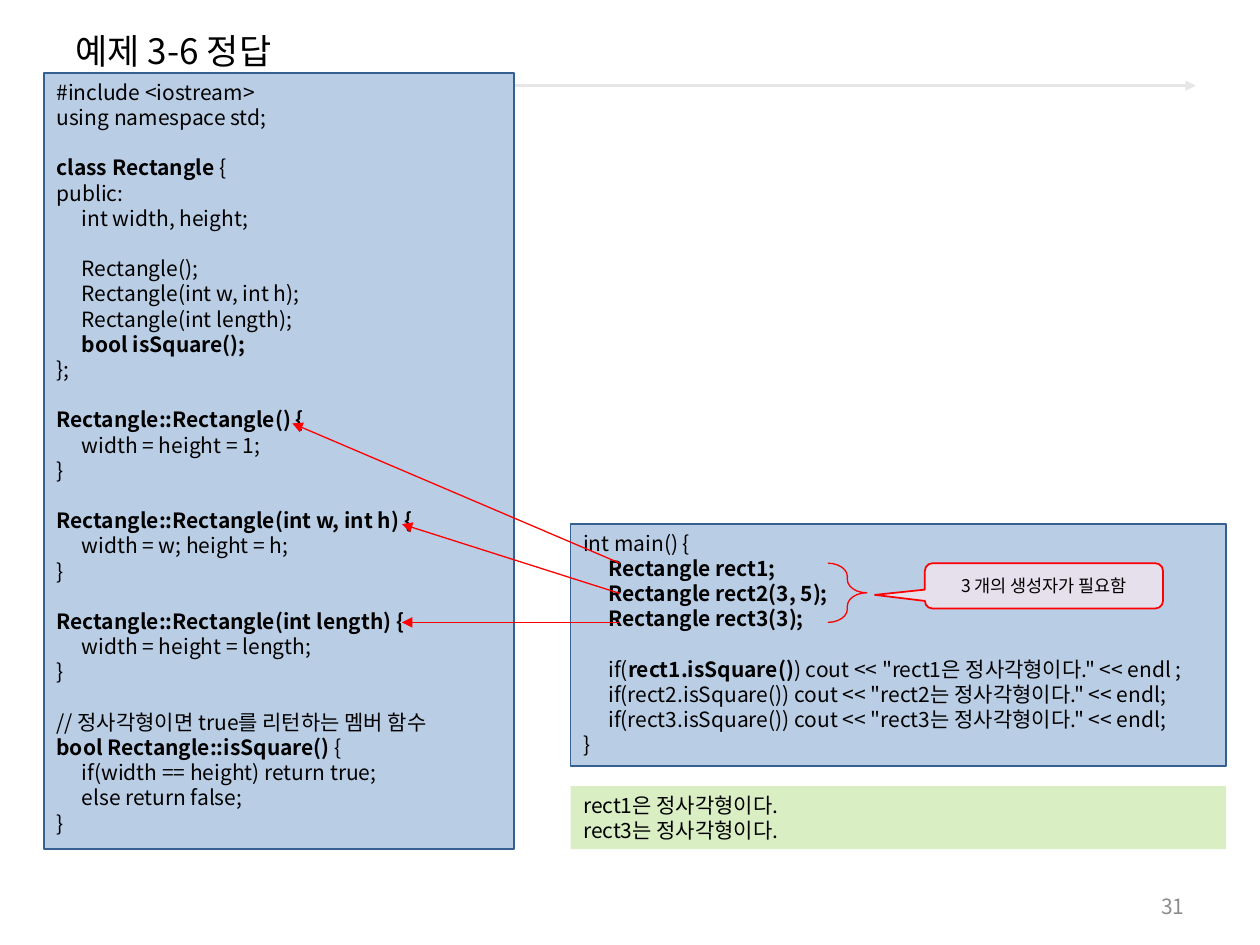
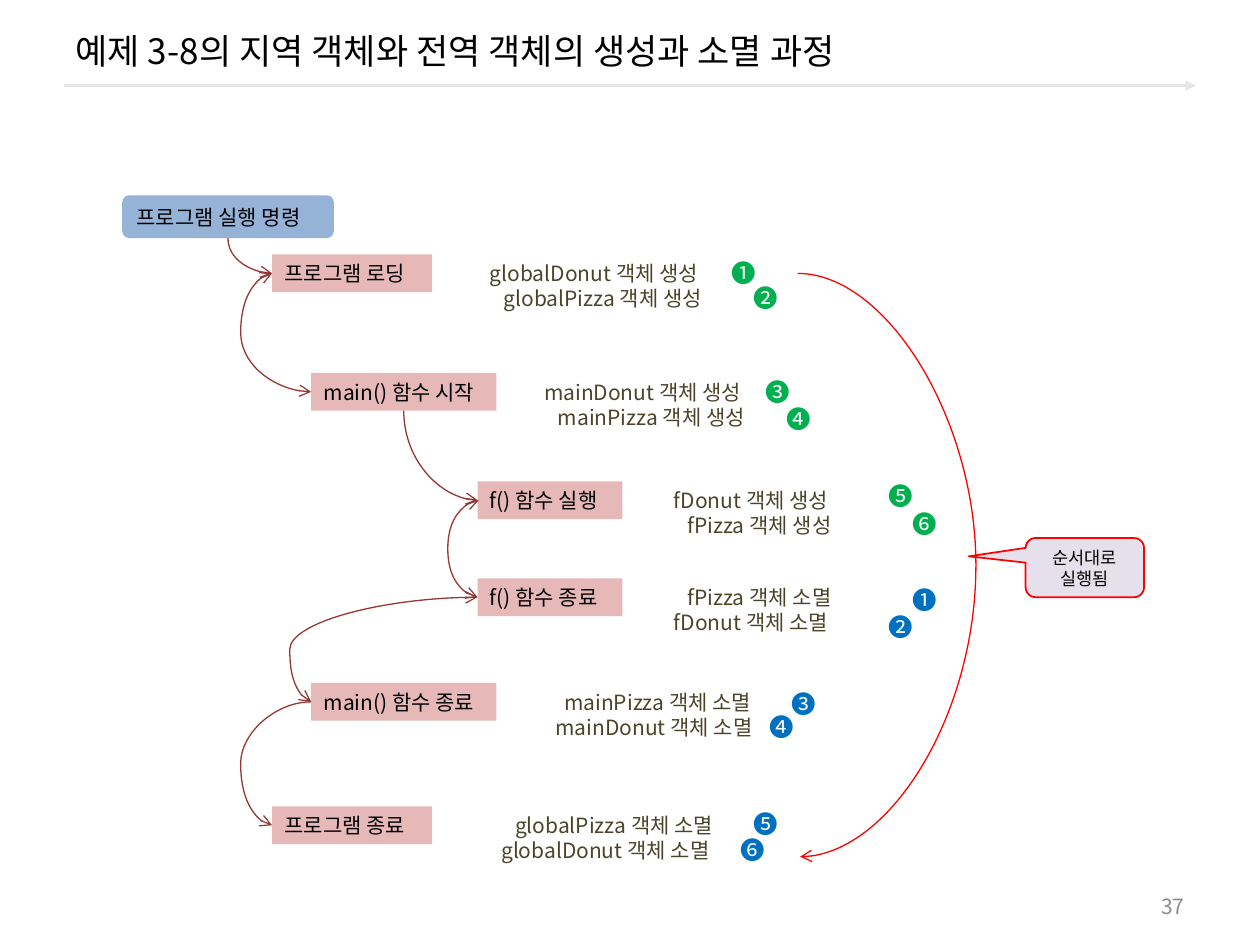
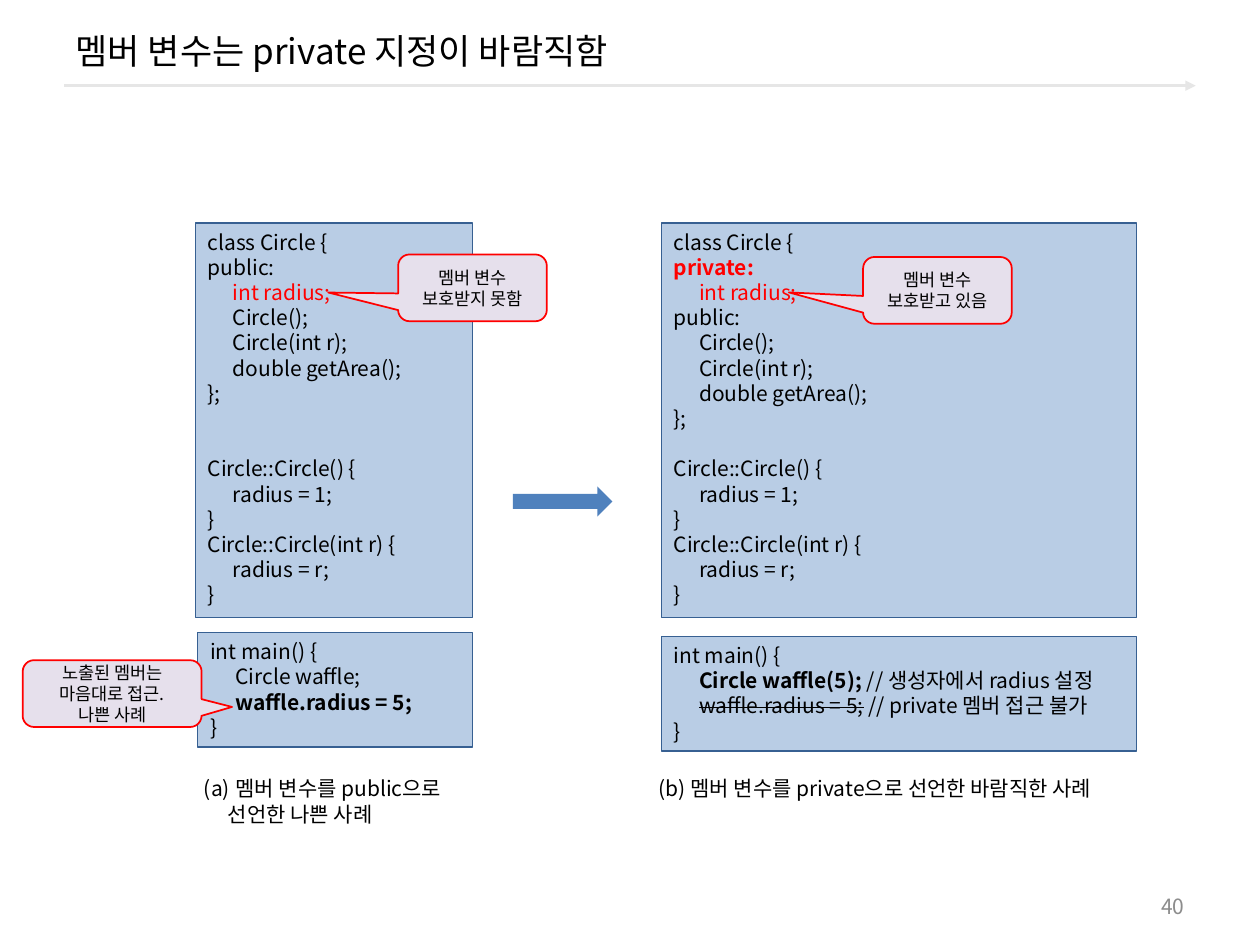
from dataclasses import dataclass

from pptx import Presentation
from pptx.dml.color import RGBColor
from pptx.enum.shapes import MSO_CONNECTOR as LINK, MSO_SHAPE as SHAPE
from pptx.enum.text import MSO_ANCHOR as ANCHOR, PP_ALIGN as ALIGN
from pptx.oxml.ns import qn
from pptx.util import Inches, Pt
from lxml.etree import SubElement


@dataclass(frozen=True)
class Theme:
    font: str = "Noto Sans CJK KR"
    title: int = 20
    body: int = 12
    note: int = 10
    badge: int = 14
    leading: float = 1.2
    tab: float = 0.2
    ink: str = "000000"
    rule: str = "E6E6E6"
    page: str = "8C8C8C"
    code: str = "B9CDE5"
    code_edge: str = "376092"
    output: str = "DAEEC4"
    callout: str = "E6E0EC"
    accent: str = "FF0000"
    step: str = "E6B9B8"
    command: str = "95B3D7"
    link: str = "953735"
    object: str = "4A452A"
    created: str = "00B050"
    destroyed: str = "0070C0"
    arrow: str = "4F81BD"


T = Theme()


def add_box(slide, kind, at, lines=(), fill=None, edge=None, width=0.75, size=T.body,
            color=T.ink, align=ALIGN.LEFT, anchor=ANCHOR.TOP, adjust=(), indents=()):
    """A shape, or a text box if kind is None; a line is a string or a list of (text, style)."""
    at = [Inches(length) for length in at]
    if kind is None:
        box = slide.shapes.add_textbox(*at)
    else:
        box = slide.shapes.add_shape(kind, *at)
        box.shadow.inherit = False
        for i, value in enumerate(adjust):
            box.adjustments[i] = value
        if fill:
            box.fill.solid()
            box.fill.fore_color.rgb = RGBColor.from_string(fill)
        else:
            box.fill.background()
        if edge:
            box.line.color.rgb = RGBColor.from_string(edge)
            box.line.width = Pt(width)
        else:
            box.line.fill.background()
    frame = box.text_frame
    frame.word_wrap = True
    frame.vertical_anchor = anchor
    for i, line in enumerate(lines):
        paragraph = frame.paragraphs[0] if i == 0 else frame.add_paragraph()
        paragraph.alignment = align
        paragraph.line_spacing = Pt(size * T.leading)
        properties = paragraph._p.get_or_add_pPr()
        if indents:
            properties.set("marL", str(Inches(indents[i])))
        pieces = [(line, "")] if isinstance(line, str) else line
        if any("\t" in text for text, _ in pieces):
            tabs = SubElement(properties, qn("a:tabLst"))
            SubElement(tabs, qn("a:tab"), pos=str(Inches(T.tab)), algn="l")
        for text, style in pieces:
            if not text:
                continue
            run = paragraph.add_run()
            run.text = text
            run.font.size = Pt(size)
            run.font.bold = "b" in style
            run.font.color.rgb = RGBColor.from_string(T.accent if "r" in style else color)
            if "s" in style:
                run._r.get_or_add_rPr().set("strike", "sngStrike")
    return box


def add_line(slide, kind, ends, color, width=0.75, head=None, tail=None):
    line = slide.shapes.add_connector(kind, *[Inches(length) for length in ends])
    line.line.color.rgb = RGBColor.from_string(color)
    line.line.width = Pt(width)
    stroke = line.line._get_or_add_ln()
    for tag, arrowhead in (("a:headEnd", head), ("a:tailEnd", tail)):
        if arrowhead:
            SubElement(stroke, qn(tag), type=arrowhead)
    SubElement(line._element.spPr, qn("a:effectLst"))
    return line


prs = Presentation()
prs.slide_width, prs.slide_height = Inches(10), Inches(7.5)

# Title, rule and page number of every slide
pages = []
for heading, number in (
    ("예제 3-6 정답", "31"),
    ("예제 3-8의 지역 객체와 전역 객체의 생성과 소멸 과정", "37"),
    ("멤버 변수는 private 지정이 바람직함", "40"),
):
    page = prs.slides.add_slide(prs.slide_layouts[5])
    title = page.shapes.title
    title.left, title.top, title.width, title.height = map(Inches, (0.5, 0.08, 9, 0.64))
    title.text_frame.text = heading
    title.text_frame.vertical_anchor = ANCHOR.MIDDLE
    title_line = title.text_frame.paragraphs[0]
    title_line.alignment = ALIGN.LEFT
    title_line.runs[0].font.size = Pt(T.title)
    title_line.runs[0].font.color.rgb = RGBColor.from_string(T.ink)
    add_line(page, LINK.STRAIGHT, (0.51, 0.68, 9.49, 0.68), T.rule, 1.5, tail="triangle")
    add_box(page, None, (7.17, 7.03, 2.33, 0.32), [number], color=T.page,
            align=ALIGN.RIGHT, anchor=ANCHOR.MIDDLE)
    pages.append(page)
answer, lifecycle, access = pages

code_style = dict(fill=T.code, edge=T.code_edge)
callout_style = dict(fill=T.callout, edge=T.accent, width=1, size=T.note,
                     align=ALIGN.CENTER, anchor=ANCHOR.MIDDLE)

# Slide 1: the class, its main function and the output
rectangle_class = [
    "#include <iostream>",
    "using namespace std;",
    "",
    [("class Rectangle ", "b"), ("{", "")],
    "public:",
    "\tint width, height;",
    "",
    "\tRectangle();",
    "\tRectangle(int w, int h);",
    "\tRectangle(int length);",
    [("\tbool isSquare();", "b")],
    "};",
    "",
    [("Rectangle::Rectangle() {", "b")],
    "\twidth = height = 1;",
    "}",
    "",
    [("Rectangle::Rectangle(int w, int h) {", "b")],
    "\twidth = w; height = h;",
    "}",
    "",
    [("Rectangle::Rectangle(int length) {", "b")],
    "\twidth = height = length;",
    "}",
    "",
    "// 정사각형이면 true를 리턴하는 멤버 함수",
    [("bool Rectangle::isSquare() ", "b"), ("{", "")],
    "\tif(width == height) return true;",
    "\telse return false;",
    "}",
]
rectangle_main = [
    "int main() {",
    [("\tRectangle rect1;", "b")],
    [("\tRectangle rect2(3, 5);", "b")],
    [("\tRectangle rect3(3);", "b")],
    "",
    [("\tif(", ""), ("rect1.isSquare()", "b"),
     (') cout << "rect1은 정사각형이다." << endl ;', "")],
    '\tif(rect2.isSquare()) cout << "rect2는 정사각형이다." << endl;',
    '\tif(rect3.isSquare()) cout << "rect3는 정사각형이다." << endl;',
    "}",
]
add_box(answer, SHAPE.RECTANGLE, (0.35, 0.58, 3.73, 6.16), rectangle_class, **code_style)
add_box(answer, SHAPE.RECTANGLE, (4.53, 4.16, 5.2, 1.92), rectangle_main, **code_style)
add_box(answer, SHAPE.RECTANGLE, (4.53, 6.24, 5.2, 0.5),
        ["rect1은 정사각형이다.", "rect3는 정사각형이다."], fill=T.output)
add_box(answer, SHAPE.ROUNDED_RECTANGULAR_CALLOUT, (7.34, 4.47, 1.89, 0.36),
        ["3 개의 생성자가 필요함"], adjust=(-0.71, 0.2, 0.17), **callout_style)
add_box(answer, SHAPE.RIGHT_BRACE, (6.57, 4.47, 0.31, 0.47), edge=T.accent, adjust=(0.34, 0.5))

# Each object points to its constructor
for object_y, constructor_x, constructor_y in (
    (4.47, 2.32, 3.36), (4.71, 3.19, 4.16), (4.94, 3.19, 4.94),
):
    add_line(answer, LINK.STRAIGHT, (4.92, object_y, constructor_x, constructor_y),
             T.accent, tail="triangle")

# Slide 2: the stages of the program
command = add_box(lifecycle, SHAPE.FLOWCHART_ALTERNATE_PROCESS, (0.97, 1.55, 1.68, 0.34),
                  ["프로그램 실행 명령"], fill=T.command, anchor=ANCHOR.MIDDLE)
load, main_start, f_run, f_end, main_end, finish = [
    add_box(lifecycle, SHAPE.RECTANGLE, (left, top, width, 0.3), [stage],
            fill=T.step, anchor=ANCHOR.MIDDLE)
    for stage, left, top, width in (
        ("프로그램 로딩", 2.16, 2.02, 1.27),
        ("main() 함수 시작", 2.47, 2.96, 1.47),
        ("f() 함수 실행", 3.79, 3.82, 1.15),
        ("f() 함수 종료", 3.79, 4.59, 1.15),
        ("main() 함수 종료", 2.47, 5.42, 1.47),
        ("프로그램 종료", 2.16, 6.4, 1.27),
    )
]

# Objects created and destroyed at each stage
for prefix, event, left, top, indent in (
    ("global", "생성", 3.79, 2.02, 0.11),
    ("main", "생성", 4.22, 2.96, 0.11),
    ("f", "생성", 5.25, 3.82, 0.11),
    ("f", "소멸", 5.25, 4.59, 0.11),
    ("main", "소멸", 4.31, 5.42, 0.07),
    ("global", "소멸", 3.88, 6.4, 0.11),
):
    objects = [f"{prefix}Donut 객체 {event}", f"{prefix}Pizza 객체 {event}"]
    indents = [0, indent]
    if event == "소멸":
        objects.reverse()
        indents.reverse()
    add_box(lifecycle, None, (left, top, 2.6, 0.5), objects, color=T.object, indents=indents)

# Curves from stage to stage: out of the bottom, or along the left side
for source, target in ((command, load), (main_start, f_run)):
    curve = add_line(lifecycle, LINK.CURVE, (0, 0, 1, 1), T.link, head="arrow")
    curve.begin_connect(target, 1)
    curve.end_connect(source, 2)
    curve._element.spPr.prstGeom.set("prst", "curvedConnector2")

side_curves = []
for source, target, bend, head in (
    (load, main_start, 1.91, "arrow"),
    (f_end, f_run, 3.55, "arrow"),
    (f_end, main_end, 2.3, "arrow"),
    (main_end, finish, 1.91, None),
):
    curve = add_line(lifecycle, LINK.CURVE, (0, 0, 1, 1), T.link, head=head, tail="arrow")
    curve.begin_connect(source, 1)
    curve.end_connect(target, 1)
    side_curves.append((curve, bend))
whole_run = add_line(lifecycle, LINK.CURVE, (6.33, 2.17, 6.35, 6.8), T.accent, tail="arrow")

for curve, bend in side_curves + [(whole_run, 7.74)]:
    if curve.begin_x == curve.end_x:
        curve.end_x += Inches(0.01)
    ratio = (Inches(bend) - curve.begin_x) / (curve.end_x - curve.begin_x)
    guides = curve._element.spPr.prstGeom.get_or_add_avLst()
    SubElement(guides, qn("a:gd"), name="adj1", fmla=f"val {round(ratio * 100000)}")

add_box(lifecycle, SHAPE.ROUNDED_RECTANGULAR_CALLOUT, (8.14, 4.27, 0.94, 0.47),
        ["순서대로 실행됨"], adjust=(-0.98, -0.19, 0.17), **callout_style)

# Numbered order of creation and destruction
for color, places in (
    (T.created, ((5.71, 2), (5.88, 2.2), (5.98, 2.94), (6.14, 3.16), (6.95, 3.77), (7.14, 3.99))),
    (T.destroyed, ((7.14, 4.59), (6.95, 4.81), (6.18, 5.42), (6.01, 5.6), (5.88, 6.37),
                   (5.78, 6.58))),
):
    for badge, (left, top) in zip("❶❷❸❹❺❻", places):
        add_box(lifecycle, None, (left, top, 0.38, 0.34), [badge], size=T.badge, color=color)

# Slide 3: public and private members side by side
methods = ["\tCircle();", "\tCircle(int r);", "\tdouble getArea();", "};", ""]
constructors = ["Circle::Circle() {", "\tradius = 1;", "}",
                "Circle::Circle(int r) {", "\tradius = r;", "}"]
radius = [("\tint radius;", "r")]
public_class = ["class Circle {", "public:", radius, *methods, "", *constructors]
private_class = ["class Circle {", [("private:", "br")], radius, "public:",
                 *methods, *constructors]
public_main = ["int main() {", "\tCircle waffle;", [("\twaffle.radius = 5;", "b")], "}"]
private_main = [
    "int main() {",
    [("\tCircle waffle(5); ", "b"), ("// 생성자에서 radius 설정", "")],
    [("\t", ""), ("waffle.radius = 5;", "s"), (" // private 멤버 접근 불가", "")],
    "}",
]
for at, code in (
    ((1.55, 1.77, 2.2, 3.13), public_class),
    ((1.57, 5.02, 2.18, 0.91), public_main),
    ((5.25, 1.77, 3.77, 3.13), private_class),
    ((5.25, 5.05, 3.77, 0.91), private_main),
):
    add_box(access, SHAPE.RECTANGLE, at, code, **code_style)
add_box(access, SHAPE.RIGHT_ARROW, (4.07, 3.86, 0.79, 0.24), fill=T.arrow)

# Remarks on the members
for at, remark, pointer in (
    ((3.16, 2.02, 1.18, 0.53), ["멤버 변수", "보호받지 못함"], (-0.97, 0.07)),
    ((6.85, 2.04, 1.18, 0.53), ["멤버 변수", "보호받고 있음"], (-1, 0.03)),
    ((0.18, 5.24, 1.42, 0.53), ["노출된 멤버는", "마음대로 접근.", "나쁜 사례"], (0.67, 0.2)),
):
    add_box(access, SHAPE.ROUNDED_RECTANGULAR_CALLOUT, at, remark,
            adjust=(*pointer, 0.17), **callout_style)

# Captions
public_caption = add_box(access, None, (1.52, 6.11, 2.28, 0.5),
                         ["멤버 변수를 public으로", "선언한 나쁜 사례"], indents=(0.25, 0.19))
numbered = public_caption.text_frame.paragraphs[0]._p.get_or_add_pPr()
numbered.set("indent", str(Inches(-0.25)))
SubElement(numbered, qn("a:buAutoNum"), type="alphaLcParenBoth")
add_box(access, None, (5.13, 6.11, 4, 0.3), ["(b) 멤버 변수를 private으로 선언한 바람직한 사례"])

# One typeface for Latin and Korean text
for page in pages:
    for shape in page.shapes:
        if shape.has_text_frame:
            for paragraph in shape.text_frame.paragraphs:
                for run in paragraph.runs:
                    run.font.name = T.font
                    SubElement(run._r.get_or_add_rPr(), qn("a:ea"), typeface=T.font)

prs.save("out.pptx")
